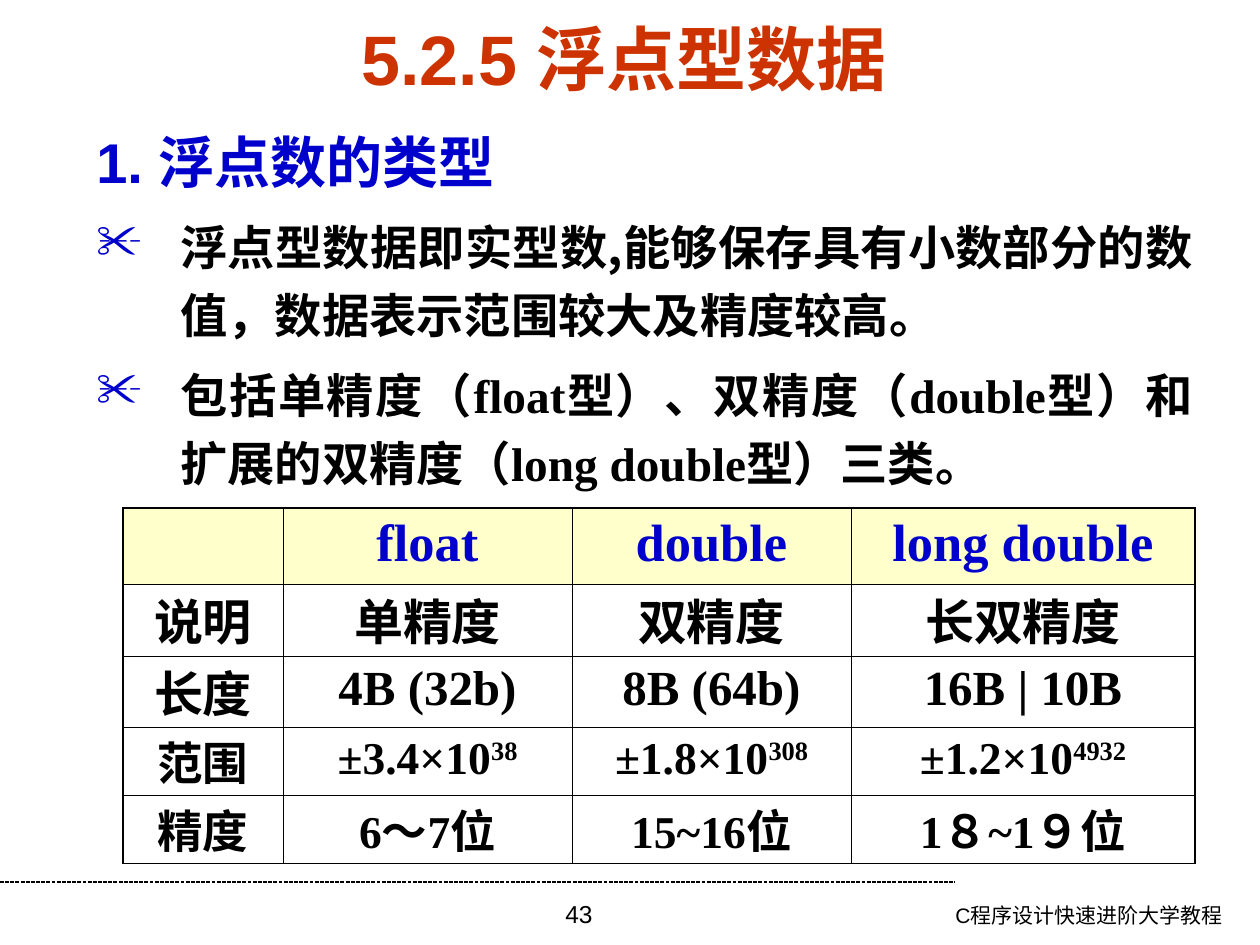
from lxml import etree
from pptx import Presentation
from pptx.dml.color import RGBColor
from pptx.enum.dml import MSO_LINE
from pptx.enum.shapes import MSO_CONNECTOR
from pptx.enum.text import MSO_ANCHOR, MSO_AUTO_SIZE, PP_ALIGN
from pptx.oxml.ns import qn
from pptx.util import Pt

CENTER, RIGHT, JUSTIFY = PP_ALIGN.CENTER, PP_ALIGN.RIGHT, PP_ALIGN.JUSTIFY
STRAIGHT, DOTTED = MSO_CONNECTOR.STRAIGHT, MSO_LINE.SQUARE_DOT
MIDDLE, NO_AUTOFIT = MSO_ANCHOR.MIDDLE, MSO_AUTO_SIZE.NONE
PX = 914400 / 126
SANS, SERIF, CHINESE = "Arial", "Times New Roman", "Noto Sans CJK SC"
BLACK, BLUE, RED = "000000", "0000CC", "CC3300"
YELLOW, WHITE = "FFFFCC", "FFFFFF"


def color(value):
    return RGBColor.from_string(value)


def add_text(paragraph, text, size, name, value, bold=True):
    run = paragraph.add_run()
    run.text = text
    formats = {"size": Pt(size), "name": name, "bold": bold}
    for key, setting in formats.items():
        setattr(run.font, key, setting)
    run.font.color.rgb = color(value)
    latin = run.font._element.find(qn("a:latin"))
    east_asian = etree.Element(qn("a:ea"), typeface=CHINESE)
    latin.addnext(east_asian)
    return run


presentation = Presentation()
presentation.slide_width = round(1260 * PX)
presentation.slide_height = round(945 * PX)
slide = presentation.slides.add_slide(presentation.slide_layouts[5])

# Footer rule
rule = slide.shapes.add_connector(
    STRAIGHT, 0, round(882 * PX), round(955 * PX), round(882 * PX))
rule.line.color.rgb = color(BLACK)
rule.line.width = Pt(0.75)
rule.line.dash_style = DOTTED
etree.SubElement(rule._element.spPr, qn("a:effectLst"))

# Course name and page number
footers = [
    ("C程序设计快速进阶大学教程", (828, 896, 407, 49), RIGHT, 12),
    ("43", (432, 893, 294, 52), CENTER, 14),
]
for text, box, alignment, size in footers:
    shape = slide.shapes.add_textbox(*(round(length * PX) for length in box))
    shape.text_frame.word_wrap = True
    paragraph = shape.text_frame.paragraphs[0]
    paragraph.alignment = alignment
    add_text(paragraph, text, size, SANS, BLACK, bold=False)

# Title
title = slide.shapes.title
title_box = {"left": 54, "top": 26, "width": 1140, "height": 63}
for key, length in title_box.items():
    setattr(title, key, round(length * PX))
title.text_frame.auto_size = NO_AUTOFIT
title.text_frame.vertical_anchor = MIDDLE
paragraph = title.text_frame.paragraphs[0]
paragraph.alignment = CENTER
add_text(paragraph, "5.2.5 浮点型数据", 40, SANS, RED)

# Heading and bullets
body = slide.shapes.add_textbox(
    *(round(length * PX) for length in (84, 115, 1121, 725)))
frame = body.text_frame
frame.word_wrap = True
heading = frame.paragraphs[0]
heading.line_spacing = 1.1
add_text(heading, "1. 浮点数的类型", 32, SANS, BLUE)

bullets = [
    ("浮点型数据即实型数,能够保存具有小数部分的数值，数据表示范围较大及精度较高。", CHINESE),
    ("包括单精度（float型）、双精度（double型）和扩展的双精度（long double型）三类。", SERIF),
]
for text, name in bullets:
    paragraph = frame.add_paragraph()
    properties = paragraph._p.get_or_add_pPr()
    bullet_color = etree.SubElement(properties, qn("a:buClr"))
    etree.SubElement(bullet_color, qn("a:srgbClr"), val=BLUE)
    etree.SubElement(properties, qn("a:buChar"), char="✂")
    formats = {"alignment": JUSTIFY, "line_spacing": 1.2, "space_before": Pt(6.8)}
    for key, setting in formats.items():
        setattr(paragraph, key, setting)
    add_text(paragraph, text, 27, name, BLACK)

for paragraph in frame.paragraphs:
    properties = paragraph._p.get_or_add_pPr()
    properties.set("marL", str(round(84 * PX)))
    properties.set("indent", str(round(-84 * PX)))

# Table of floating-point types; ^ starts an exponent
rows = [
    (76, 30, ["", "float", "double", "long double"]),
    (72, 28, ["说明", "单精度", "双精度", "长双精度"]),
    (71, 28, ["长度", "4B (32b)", "8B (64b)", "16B | 10B"]),
    (68, 26, ["范围", "±3.4×10^38", "±1.8×10^308", "±1.2×10^4932"]),
    (68, 26, ["精度", "6～7位", "15~16位", "1８~1９位"]),
]
widths = [160, 289, 279, 344]
table_box = (123, 508, sum(widths), sum(row[0] for row in rows))
table = slide.shapes.add_table(
    len(rows), len(widths), *(round(length * PX) for length in table_box)).table
table.first_row = table.horz_banding = False
for column, width in zip(table.columns, widths):
    column.width = round(width * PX)

last_row, last_column = len(rows) - 1, len(widths) - 1
for row_index, (height, size, texts) in enumerate(rows):
    table.rows[row_index].height = round(height * PX)
    for column_index, text in enumerate(texts):
        cell = table.cell(row_index, column_index)
        # Thick outer borders, thin inner ones
        outer = {
            "a:lnL": column_index == 0,
            "a:lnR": column_index == last_column,
            "a:lnT": row_index == 0,
            "a:lnB": row_index == last_row,
        }
        properties = cell._tc.get_or_add_tcPr()
        for tag, thick in outer.items():
            border = etree.SubElement(
                properties, qn(tag), w=str(Pt(1.08 if thick else 0.45)))
            fill = etree.SubElement(border, qn("a:solidFill"))
            etree.SubElement(fill, qn("a:srgbClr"), val=BLACK)
        cell.fill.solid()
        cell.fill.fore_color.rgb = color(WHITE if row_index else YELLOW)
        # Tall Chinese lines need the whole row height
        if any("\u4e00" <= letter <= "\u9fff" for letter in text):
            cell.margin_top = cell.margin_bottom = 0
        paragraph = cell.text_frame.paragraphs[0]
        paragraph.alignment = CENTER
        if not text:
            continue
        base, _, exponent = text.partition("^")
        value = BLACK if row_index else BLUE
        add_text(paragraph, base, size, SERIF, value)
        if exponent:
            run = add_text(paragraph, exponent, size, SERIF, value)
            run.font._element.set("baseline", "30000")

presentation.save("out.pptx")
